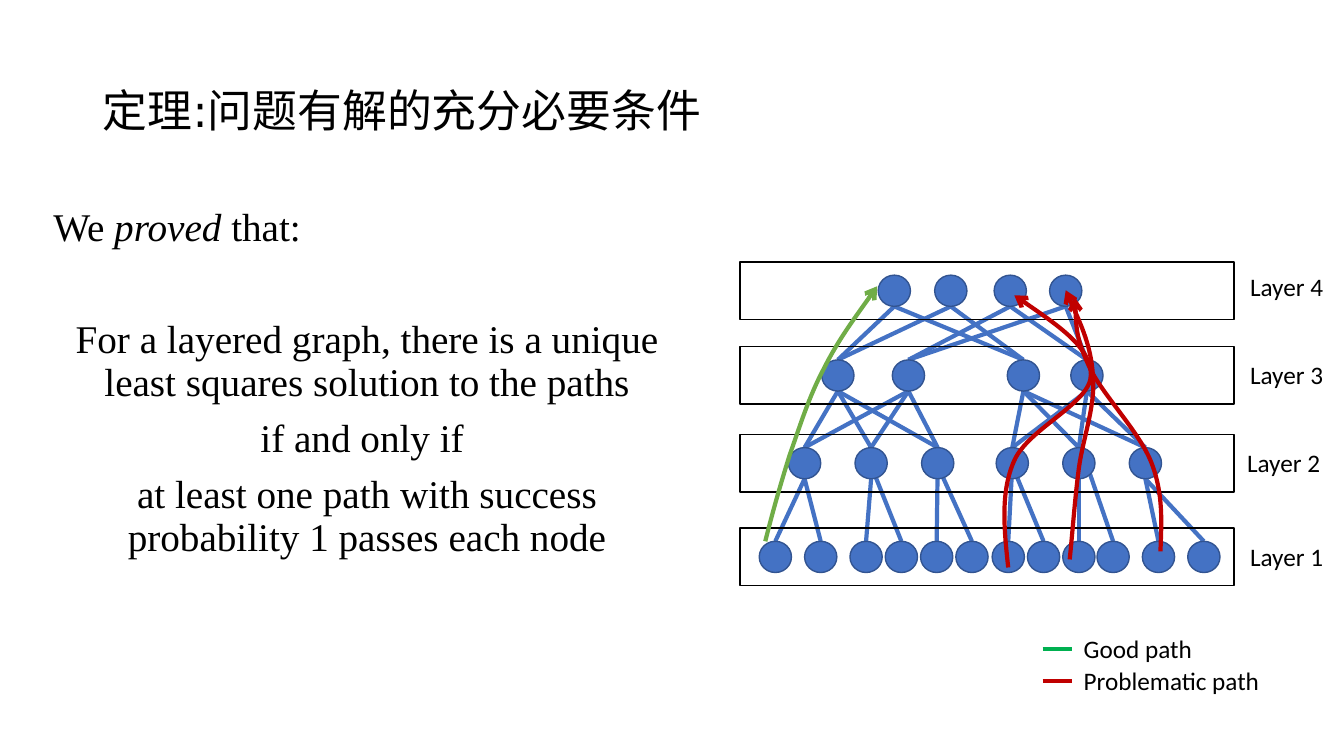
from lxml import etree
from pptx import Presentation
from pptx import util as u
from pptx.dml.color import RGBColor
from pptx.enum import shapes, text
from pptx.oxml import ns

BLUE, OUTLINE, BLACK = "4472C4", "325491", "000000"
GREEN, LEGEND_GREEN, RED = "70AD47", "00B050", "C00000"
NODE_WIDTH, NODE_HEIGHT = 0.32, 0.31

LAYERS = [
    ("Layer 4", 2.6, 2.73, 12.3, 2.64, [8.87, 9.43, 10.02, 10.57]),
    ("Layer 3", 3.44, 3.57, 12.3, 3.52, [8.31, 9.01, 10.15, 10.78]),
    ("Layer 2", 4.31, 4.44, 12.27, 4.39, [7.98, 8.64, 9.3, 10.04, 10.7, 11.36]),
    ("Layer 1", 5.24, 5.37, 12.3, 5.32,
     [7.69, 8.14, 8.59, 8.94, 9.29, 9.64, 10, 10.35, 10.7, 11.04, 11.49, 11.94]),
]
CHILDREN = [
    [(0, 2), (0, 2), (1, 3), (1, 3)],
    [(0, 1, 2), (0, 1, 2), (3, 4, 5), (3, 4, 5)],
    [(2 * node, 2 * node + 1) for node in range(6)],
]
INNER_STARTS = {3: (8.64, 4.62), 4: (9.3, 4.62), 5: (9.3, 4.62), 6: (10.04, 4.62),
                7: (10.04, 4.62), 8: (10.7, 4.62), 9: (10.81, 4.7)}

PATHS = [
    (GREEN, [(7.59, 5.37), (7.66, 5.09), (7.74, 4.81), (7.83, 4.52), (7.93, 4.24),
             (8.02, 3.94), (8.17, 3.66), (8.31, 3.38), (8.51, 3.11), (8.7, 2.84)]),
    (RED, [(11.51, 5.47), (11.52, 5.18), (11.54, 4.9), (11.42, 4.59), (11.3, 4.28),
           (10.92, 3.9), (10.8, 3.63), (10.67, 3.35), (10.67, 3.15), (10.66, 2.95)]),
    (RED, [(10, 5.63), (9.96, 5.26), (9.92, 4.88), (10.06, 4.57), (10.2, 4.25),
           (10.82, 4), (10.82, 3.72), (10.82, 3.45), (10.44, 3.19), (10.06, 2.93)]),
    (RED, [(10.61, 5.55), (10.64, 5.26), (10.66, 4.96), (10.7, 4.65), (10.74, 4.35),
           (10.87, 4.02), (10.84, 3.72), (10.82, 3.43), (10.69, 3.15), (10.57, 2.88)]),
]
THEOREM = [
    "For a layered graph, there is a unique least squares solution to the paths",
    "if and only if ",
    "at least one path with success probability 1 passes each node",
]


def colour(value):
    return RGBColor.from_string(value)


class SlideBuilder:
    label_font, label_size = "Calibri", 18
    body_font, body_size = "Times New Roman", 28
    title_font, title_size = "DejaVu Sans", 32

    def __init__(self, slide):
        self.slide = slide

    def style_span(self, span, font, size):
        span.font.name, span.font.size = font, u.Pt(size)
        span.font.color.rgb = colour(BLACK)

    def title(self, words, left, top, width, height):
        box = self.slide.shapes.title
        box.left, box.top = u.Inches(left), u.Inches(top)
        box.width, box.height = u.Inches(width), u.Inches(height)
        frame = box.text_frame
        frame.text = words
        frame.auto_size = text.MSO_AUTO_SIZE.NONE
        frame.vertical_anchor = text.MSO_ANCHOR.MIDDLE
        para = frame.paragraphs[0]
        para.alignment, para.line_spacing = text.PP_ALIGN.LEFT, 0.9
        self.style_span(para.runs[0], self.title_font, self.title_size)

    def text_box(self, left, top, width, height, wrap=True):
        box = self.slide.shapes.add_textbox(*map(u.Inches, (left, top, width, height)))
        box.text_frame.word_wrap = wrap
        return box.text_frame

    def label(self, words, left, top, width, wrap=True):
        frame = self.text_box(left, top, width, 0.4, wrap)
        frame.text = words
        self.style_span(frame.paragraphs[0].runs[0], self.label_font, self.label_size)

    def theorem(self, statements, left, top, width, height):
        frame = self.text_box(left, top, width, height)
        intro = frame.paragraphs[0]
        for words in ("We ", "proved", " that:"):
            span = intro.add_run()
            span.text = words
            span.font.italic = words == "proved"
        for index, statement in enumerate(statements):
            para = frame.add_paragraph()
            para.text = statement
            para.alignment = text.PP_ALIGN.CENTER
            para.space_before = u.Pt(10 if index else 50)
        for para in frame.paragraphs:
            para.line_spacing = 0.9
            for span in para.runs:
                self.style_span(span, self.body_font, self.body_size)

    def line(self, start, end, line_colour):
        line = self.slide.shapes.add_connector(
            shapes.MSO_CONNECTOR.STRAIGHT, *map(u.Inches, (*start, *end)))
        line.line.color.rgb, line.line.width = colour(line_colour), u.Pt(3)
        etree.SubElement(line._element.spPr, ns.qn("a:effectLst"))

    def shape(self, kind, left, top, width, height, line_colour, fill=None):
        shape = self.slide.shapes.add_shape(
            kind, *map(u.Inches, (left, top, width, height)))
        shape.shadow.inherit = False
        if fill:
            shape.fill.solid()
            shape.fill.fore_color.rgb = colour(fill)
        else:
            shape.fill.background()
        shape.line.color.rgb, shape.line.width = colour(line_colour), u.Pt(1)

    def curved_arrow(self, points, line_colour):
        points = [(u.Inches(x), u.Inches(y)) for x, y in points]
        builder = self.slide.shapes.build_freeform(*points[0])
        builder.add_line_segments(points[1:], close=False)
        curve = builder.convert_to_shape()
        curve.shadow.inherit = False
        curve.fill.background()
        curve.line.color.rgb, curve.line.width = colour(line_colour), u.Pt(3)
        etree.SubElement(curve.line._get_or_add_ln(), ns.qn("a:tailEnd"), type="arrow")
        segments = list(curve._element.iter(ns.qn("a:lnTo")))
        outline = segments[0].getparent()
        for first in range(0, len(segments), 3):
            bezier = etree.SubElement(outline, ns.qn("a:cubicBezTo"))
            for segment in segments[first:first + 3]:
                bezier.append(segment[0])
                outline.remove(segment)


def draw_graph(builder):
    for upper, lower, children in zip(LAYERS, LAYERS[1:], CHILDREN):
        starts = INNER_STARTS if lower is LAYERS[-1] else {}
        for x, targets in zip(upper[5], children):
            for target in targets:
                start = starts.get(target, (x, upper[2] + NODE_HEIGHT))
                builder.line(start, (lower[5][target], lower[2]), BLUE)
    for name, band_top, node_top, label_left, label_top, centres in LAYERS:
        for x in centres:
            builder.shape(shapes.MSO_SHAPE.FLOWCHART_CONNECTOR, x - NODE_WIDTH / 2,
                          node_top, NODE_WIDTH, NODE_HEIGHT, OUTLINE, BLUE)
        builder.shape(shapes.MSO_SHAPE.RECTANGLE, 7.34, band_top, 4.9, 0.57, BLACK)
        builder.label(name, label_left, label_top, 0.94)
    for path_colour, points in PATHS:
        builder.curved_arrow(points, path_colour)


def main():
    deck = Presentation()
    deck.slide_width, deck.slide_height = u.Inches(13.33), u.Inches(7.5)
    page = deck.slides.add_slide(deck.slide_layouts[5])
    builder = SlideBuilder(page)
    builder.title("定理:问题有解的充分必要条件", 0.92, 0.4, 11.5, 1.45)
    builder.theorem(THEOREM, 0.43, 2.01, 6.42, 4.76)
    draw_graph(builder)
    legend = [("Good path", LEGEND_GREEN, 6.44, 1.29),
              ("Problematic path", RED, 6.76, 1.98)]
    for name, line_colour, y, width in legend:
        builder.line((10.34, y), (10.63, y), line_colour)
        builder.label(name, 10.65, y - 0.21, width, wrap=False)
    deck.save("out.pptx")


if __name__ == "__main__":
    main()
